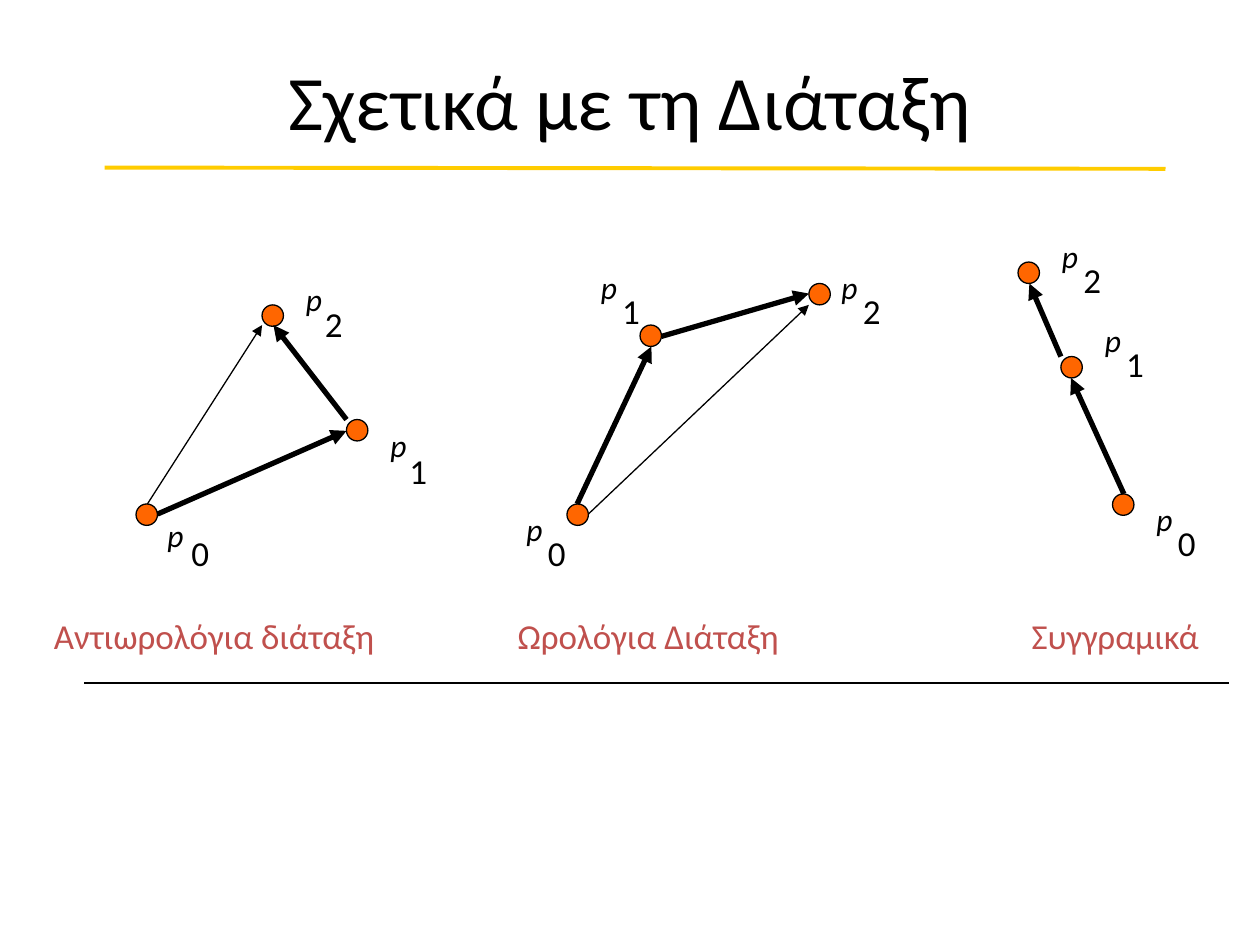
from typing import NamedTuple

from lxml import etree
from pptx import Presentation
from pptx.dml.color import RGBColor
from pptx.enum.shapes import MSO_CONNECTOR, MSO_SHAPE
from pptx.enum.text import MSO_ANCHOR, MSO_AUTO_SIZE, PP_ALIGN
from pptx.oxml.ns import qn
from pptx.util import Inches, Pt

OVAL = MSO_SHAPE.OVAL
LINE = MSO_CONNECTOR.STRAIGHT
MIDDLE = MSO_ANCHOR.MIDDLE
GROW = MSO_AUTO_SIZE.SHAPE_TO_FIT_TEXT
CENTER = PP_ALIGN.CENTER

COLORS = {"ink": "000000", "dot": "FF6600", "label": "C0504D", "rule": "FFCC00"}
FONT = "Calibri"
DOT = 0.17
THICK, THIN = 3, 0.75

Pair = tuple[float, float]


class Point(NamedTuple):
    index: int
    dot: Pair
    label: Pair
    shift: Pair = (0.17, 0.17)  # from the letter to its index


class Arrow(NamedTuple):
    start: Pair
    end: Pair
    width: float = THICK


class Figure(NamedTuple):
    points: list[Point]
    arrows: list[Arrow]


FIGURES = [
    Figure(
        [
            Point(0, (1.08, 4), (1.23, 4.05), (0.19, 0.12)),
            Point(1, (2.75, 3.33), (3, 3.33), (0.15, 0.19)),
            Point(2, (2.08, 2.42), (2.33, 2.17), (0.15, 0.18)),
        ],
        [
            Arrow((1.25, 4.08), (2.75, 3.42)),
            Arrow((2.75, 3.33), (2.17, 2.58)),
            Arrow((1.17, 4), (2.08, 2.58), THIN),
        ],
    ),
    Figure(
        [
            Point(0, (4.5, 4), (4.08, 4)),
            Point(1, (5.08, 2.58), (4.67, 2.08)),
            Point(2, (6.42, 2.25), (6.58, 2.08)),
        ],
        [
            Arrow((4.58, 4), (5.17, 2.75)),
            Arrow((5.25, 2.67), (6.42, 2.33)),
            Arrow((4.67, 4.08), (6.42, 2.42), THIN),
        ],
    ),
    Figure(
        [
            Point(0, (8.83, 3.92), (9.08, 3.92)),
            Point(1, (8.42, 2.83), (8.67, 2.5)),
            Point(2, (8.08, 2.08), (8.33, 1.83)),
        ],
        [
            Arrow((8.92, 3.92), (8.5, 3)),
            Arrow((8.42, 2.83), (8.17, 2.25)),
        ],
    ),
]

CAPTIONS = ["Αντιωρολόγια διάταξη", "Ωρολόγια Διάταξη", "Συγγραμικά"]
STOPS = [3.68, 7.76]


def color(name: str) -> RGBColor:
    return RGBColor.from_string(COLORS[name])


def style(para, size: float, tint: str = "ink", italic: bool = False) -> None:
    font = para.font
    font.name = FONT
    font.size = Pt(size)
    font.italic = italic
    font.color.rgb = color(tint)


def add_line(shapes, start: Pair, end: Pair, width: float, tint: str = "ink"):
    line = shapes.add_connector(LINE, *map(Inches, start + end))
    line.line.color.rgb = color(tint)
    line.line.width = Pt(width)
    etree.SubElement(line._element.spPr, qn("a:effectLst"))
    return line


def add_arrow(shapes, arrow: Arrow) -> None:
    line = add_line(shapes, arrow.start, arrow.end, arrow.width)
    etree.SubElement(line.line._get_or_add_ln(), qn("a:tailEnd"), type="triangle")


def add_dot(shapes, at: Pair) -> None:
    dot = shapes.add_shape(OVAL, *map(Inches, at + (DOT, DOT)))
    dot.shadow.inherit = False
    dot.fill.solid()
    dot.fill.fore_color.rgb = color("dot")
    dot.line.color.rgb = color("ink")
    dot.line.width = Pt(THIN)


def add_text(shapes, text: str, at: Pair, size: Pair, wrap: bool = False):
    """Add a growing text box and return its paragraph."""
    frame = shapes.add_textbox(*map(Inches, at + size)).text_frame
    frame.word_wrap = wrap
    frame.auto_size = GROW
    para = frame.paragraphs[0]
    para.text = text
    return para


def add_label(shapes, point: Point) -> None:
    """Write the letter p and its lowered index."""
    (x, y), (dx, dy) = point.label, point.shift
    style(add_text(shapes, "p", (x, y), (0.37, 0.5)), 18, italic=True)
    index = add_text(shapes, str(point.index), (x + dx, y + dy), (0.34, 0.43))
    style(index, 20)


def add_figure(slide, figure: Figure) -> None:
    shapes = slide.shapes.add_group_shape().shapes
    for point in figure.points:
        add_dot(shapes, point.dot)
    for arrow in figure.arrows:
        add_arrow(shapes, arrow)
    for point in figure.points:
        add_label(shapes, point)


def add_title(slide, text: str) -> None:
    title = slide.shapes.title
    title.left, title.top = Inches(0.75), Inches(0.17)
    title.width, title.height = Inches(8.5), Inches(1.25)
    frame = title.text_frame
    frame.text = text
    frame.vertical_anchor = MIDDLE
    para = frame.paragraphs[0]
    para.alignment = CENTER
    style(para, 44)


def add_captions(slide) -> None:
    para = add_text(slide.shapes, "\t".join(CAPTIONS), (0.33, 4.83), (9.5, 0.44), True)
    tabs = etree.SubElement(para._p.get_or_add_pPr(), qn("a:tabLst"))
    for stop in STOPS:
        etree.SubElement(tabs, qn("a:tab"), pos=str(Inches(stop)), algn="l")
    style(para, 20, "label")


def main() -> None:
    deck = Presentation()
    deck.slide_width, deck.slide_height = Inches(10), Inches(7.5)
    slide = deck.slides.add_slide(deck.slide_layouts[5])
    add_title(slide, "Σχετικά με τη Διάταξη")
    add_captions(slide)
    for figure in FIGURES:
        add_figure(slide, figure)
    add_line(slide.shapes, (0.67, 5.42), (9.75, 5.42), THIN)
    add_line(slide.shapes, (0.83, 1.33), (9.25, 1.34), 2.25, "rule")
    deck.save("out.pptx")


if __name__ == "__main__":
    main()
